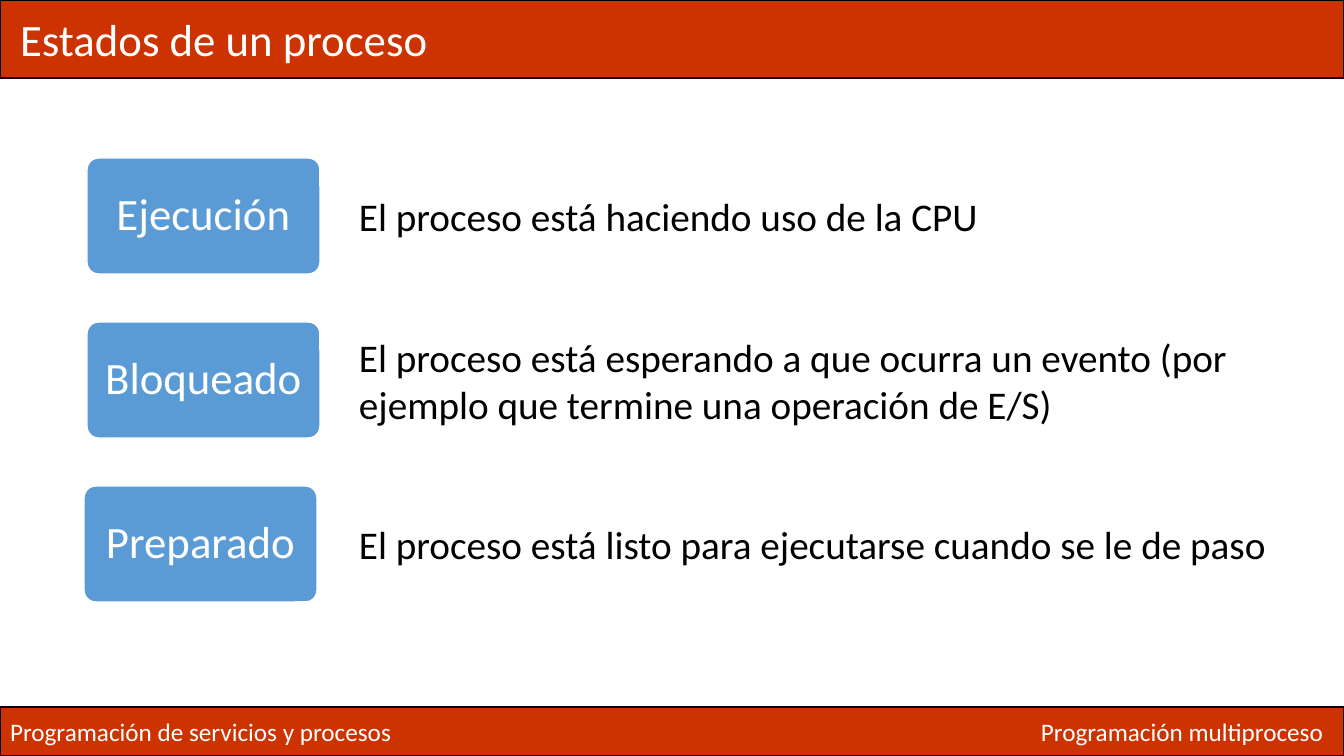
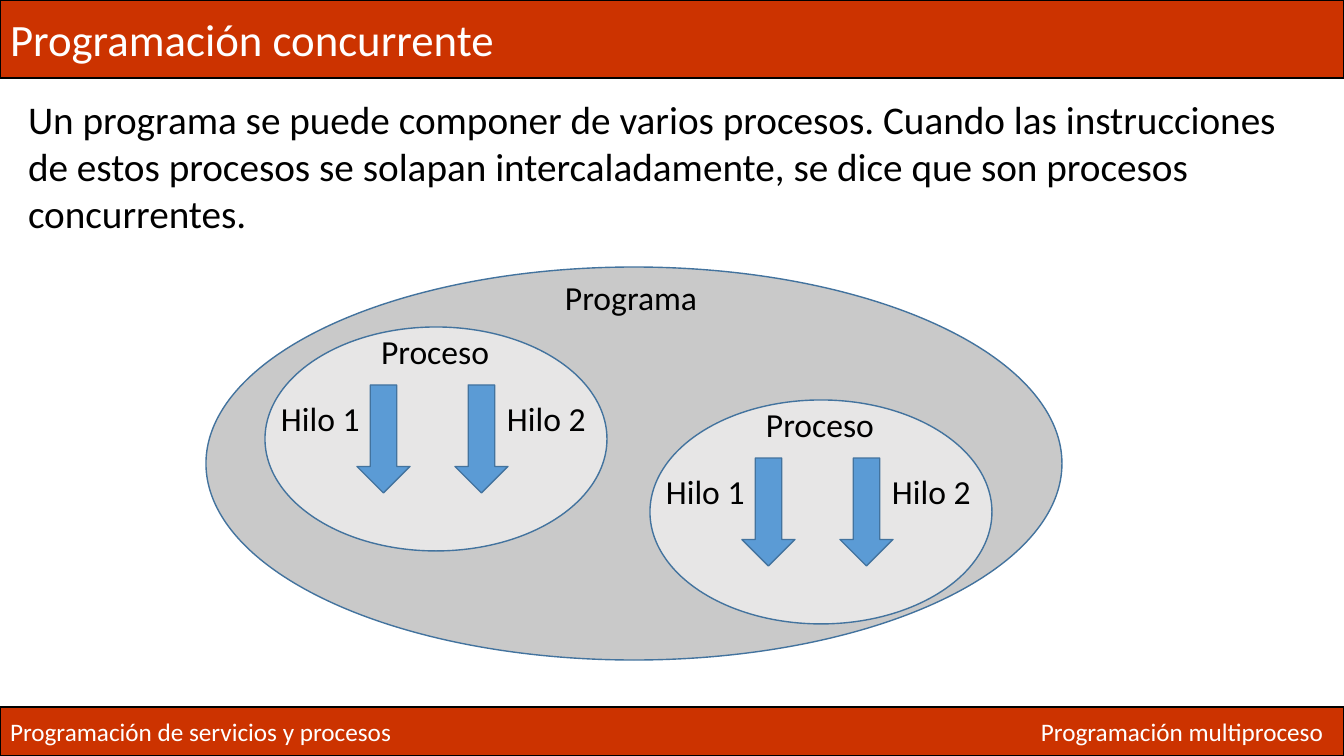
from dataclasses import dataclass

from lxml.etree import SubElement
from pptx import Presentation
from pptx.dml.color import RGBColor
from pptx.enum.shapes import MSO_SHAPE as Preset
from pptx.enum.text import MSO_ANCHOR as Anchor, MSO_AUTO_SIZE as AutoSize, PP_ALIGN as Align
from pptx.oxml.ns import qn
from pptx.util import Emu, Pt


@dataclass(frozen=True)
class Theme:
    font: str = "Calibri"
    band: str = "CC3300"
    accent: str = "5B9BD5"
    outline: str = "43739E"
    program: str = "C9C9C9"
    process: str = "E7E6E6"
    light: str = "FFFFFF"
    dark: str = "000000"
    title: int = 32
    body: int = 28
    label: int = 24
    footer: int = 18


THEME = Theme()
WIDTH, HEIGHT = 1344, 756
EMU_PER_PX = 12192000 / WIDTH
TITLE_ONLY, TITLE_AND_BODY = 5, 1

# State, its description, left edge of its box, width and lines of the description
STATES = [
    ("Ejecución", "El proceso está haciendo uso de la CPU", 87, 646, 1),
    ("Bloqueado", "El proceso está esperando a que ocurra un evento (por ejemplo "
     "que termine una operación de E/S)", 87, 958, 2),
    ("Preparado", "El proceso está listo para ejecutarse cuando se le de paso", 84, 938, 1),
]


def px(length):
    return Emu(round(length * EMU_PER_PX))


# Text
def write(shape, text, *, size=THEME.body, color=THEME.dark, align=Align.LEFT,
          anchor=Anchor.TOP, inset=10, wrap=True, spacing=1.0):
    frame = shape.text_frame
    frame.auto_size = AutoSize.NONE
    frame.word_wrap = wrap
    frame.vertical_anchor = anchor
    frame.margin_left, frame.margin_right = px(inset), px(10)
    frame.margin_top = frame.margin_bottom = px(5)
    paragraph = frame.paragraphs[0]
    paragraph.alignment = align
    paragraph.line_spacing = spacing
    paragraph.space_before = Pt(0)
    run = paragraph.add_run()
    run.text = text
    run.font.name = THEME.font
    run.font.size = Pt(size)
    run.font.color.rgb = RGBColor.from_string(color)


def add_label(slide, text, left, top, width, height, **style):
    label = slide.shapes.add_textbox(px(left), px(top), px(width), px(height))
    write(label, text, **style)


# Shapes
def paint(shape, fill, line):
    shape.fill.solid()
    shape.fill.fore_color.rgb = RGBColor.from_string(fill)
    shape.line.color.rgb = RGBColor.from_string(line)
    shape.line.width = Pt(1)


def place(shape, left, top, width, height):
    shape.left, shape.top = px(left), px(top)
    shape.width, shape.height = px(width), px(height)


def add_preset(slide, preset, left, top, width, height, fill, line=THEME.outline):
    shape = slide.shapes.add_shape(preset, px(left), px(top), px(width), px(height))
    shape.shadow.inherit = False
    paint(shape, fill, line)
    return shape


# Shared frame: title band and footer band
def add_slide(deck, layout, title, inset=10):
    slide = deck.slides.add_slide(deck.slide_layouts[layout])
    heading = slide.shapes.title
    place(heading, 0, 0, WIDTH, 78)
    paint(heading, THEME.band, THEME.dark)
    write(heading, title, size=THEME.title, color=THEME.light,
          anchor=Anchor.MIDDLE, inset=inset)
    add_preset(slide, Preset.RECTANGLE, 0, 707, WIDTH, 49, THEME.band, THEME.dark)
    for text, left, width in [("Programación de servicios y procesos", 0, 405),
                              ("Programación multiproceso", 1031, 305)]:
        add_label(slide, text, left, 711, width, 40, size=THEME.footer,
                  color=THEME.light, wrap=False)
    return slide


def fill_body(slide, text, left, top, width, height):
    body = slide.placeholders[1]
    place(body, left, top, width, height)
    write(body, text)
    properties = body.text_frame.paragraphs[0]._p.get_or_add_pPr()
    properties.set("marL", "0")
    properties.set("indent", "0")
    SubElement(properties, qn("a:buNone"))


# Slide parts
def add_state(slide, row, name, description, left, width, lines):
    top, box_height = 158 + 164 * row, 116
    box = add_preset(slide, Preset.ROUNDED_RECTANGLE, left, top, 233, box_height,
                     THEME.accent, THEME.light)
    box.adjustments[0] = 0.1
    write(box, name, size=THEME.title, color=THEME.light, align=Align.CENTER,
          anchor=Anchor.MIDDLE, spacing=0.9)
    height = 10 + 47 * lines
    add_label(slide, description, 349, top + (box_height - height) // 2, width, height)


def add_process(slide, left, top):
    add_preset(slide, Preset.OVAL, left, top, 342, 224, THEME.process)
    for arrow_left in (92, 190):
        add_preset(slide, Preset.DOWN_ARROW, left + arrow_left, top + 58, 53, 108,
                   THEME.accent)
    for text, dx, dy, width in [("Proceso", 106, -1, 129),
                                ("Hilo 1", 6, 66, 100),
                                ("Hilo 2", 232, 66, 100)]:
        add_label(slide, text, left + dx, top + dy, width, 50,
                  size=THEME.label, wrap=False)


def build_states(deck):
    slide = add_slide(deck, TITLE_ONLY, "Estados de un proceso", inset=20)
    for row, state in enumerate(STATES):
        add_state(slide, row, *state)


def build_concurrency(deck):
    slide = add_slide(deck, TITLE_AND_BODY, "Programación concurrente")
    fill_body(slide, "Un programa se puede componer de varios procesos. Cuando las "
              "instrucciones de estos procesos se solapan intercaladamente, se dice "
              "que son procesos concurrentes.", 18, 90, 1307, 152)
    add_preset(slide, Preset.OVAL, 206, 267, 856, 393, THEME.program)
    add_label(slide, "Programa", 555, 272, 153, 50, size=THEME.label, wrap=False)
    add_process(slide, 265, 327)
    add_process(slide, 650, 400)


def main():
    deck = Presentation()
    deck.slide_width, deck.slide_height = px(WIDTH), px(HEIGHT)
    build_states(deck)
    build_concurrency(deck)
    deck.save("out.pptx")


if __name__ == "__main__":
    main()
